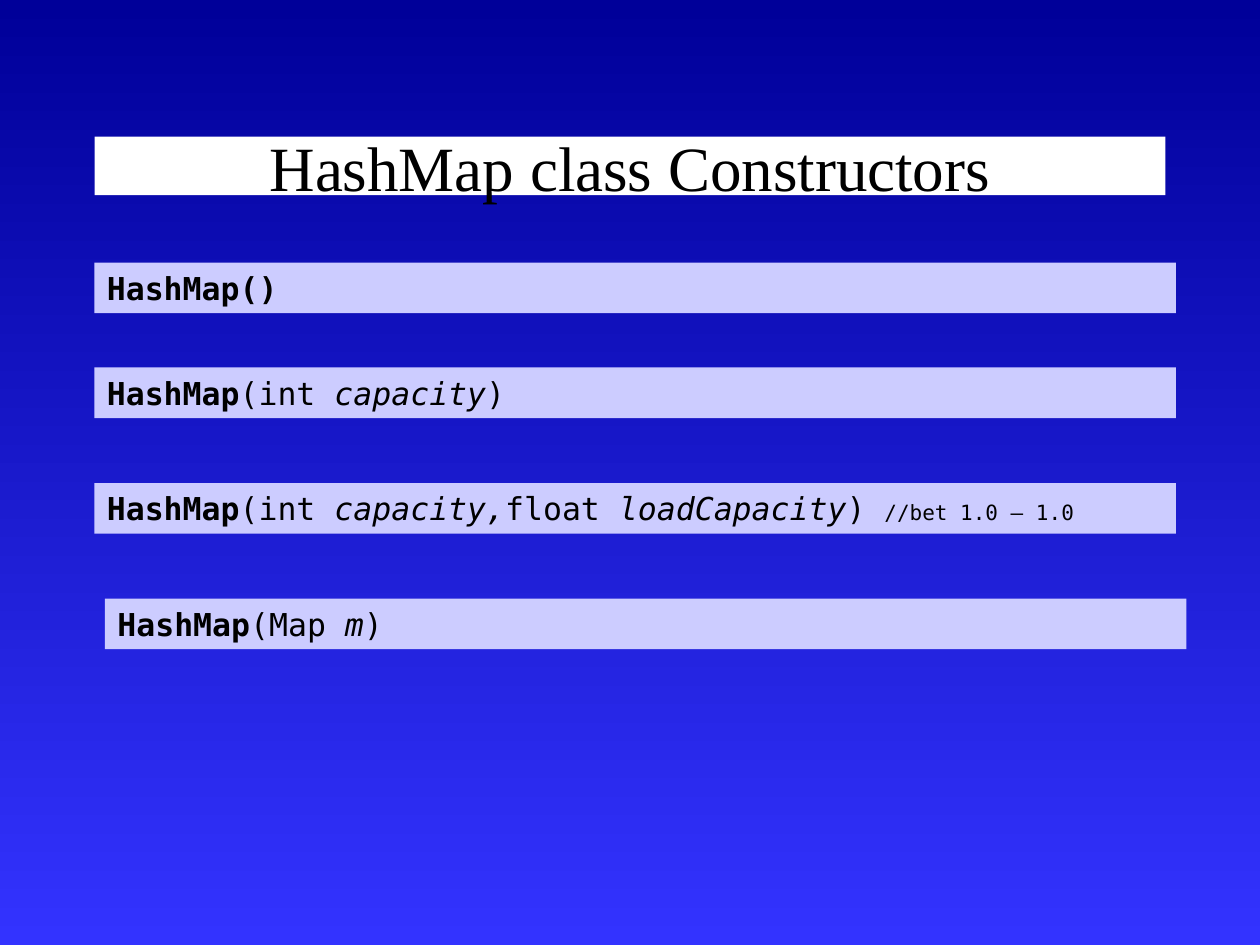
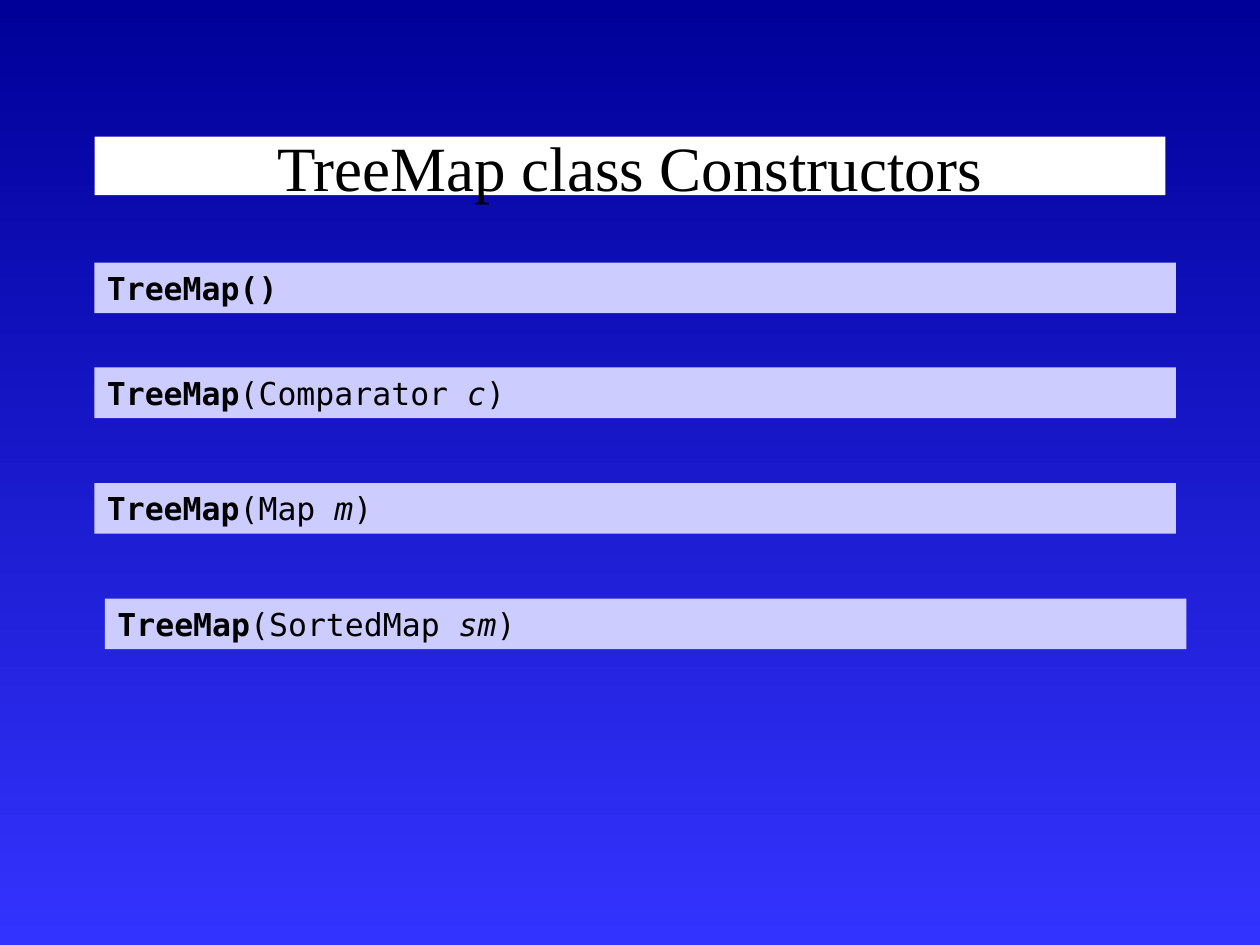
from dataclasses import dataclass

from pptx import Presentation
from pptx.dml.color import RGBColor
from pptx.enum.text import MSO_ANCHOR, MSO_AUTO_SIZE, PP_ALIGN
from pptx.util import Pt

MIDDLE = MSO_ANCHOR.MIDDLE
TOP = MSO_ANCHOR.TOP
FIXED = MSO_AUTO_SIZE.NONE
GROW = MSO_AUTO_SIZE.SHAPE_TO_FIT_TEXT
CENTER = PP_ALIGN.CENTER
LEFT = PP_ALIGN.LEFT
TITLE_ONLY = 5


@dataclass(frozen=True)
class Theme:
    gradient: tuple = (RGBColor(0x00, 0x00, 0x99), RGBColor(0x33, 0x33, 0xFF))
    title_fill: RGBColor = RGBColor(0xFF, 0xFF, 0xFF)
    code_fill: RGBColor = RGBColor(0xCC, 0xCC, 0xFF)
    ink: RGBColor = RGBColor(0, 0, 0)
    title_font: str = "Times New Roman"
    code_font: str = "DejaVu Sans Mono"
    title_size: int = 36
    code_size: int = 18
    note_size: int = 12


THEME = Theme()
SLIDE_SIZE = (720, 540)
TITLE_BOX = (54, 78, 612, 33.5)
CODE_BOXES = [
    (left, top, 618, 29)
    for left, top in ((54, 150), (54, 210), (54, 276), (60, 342))
]
TITLE_FORMAT = {"name": THEME.title_font, "size": Pt(THEME.title_size)}
CODE_FORMAT = {"name": THEME.code_font, "size": Pt(THEME.code_size)}
NAME = CODE_FORMAT | {"bold": True}
PLAIN = CODE_FORMAT
ARGUMENT = CODE_FORMAT | {"italic": True}
NOTE = CODE_FORMAT | {"size": Pt(THEME.note_size)}

CLASSES = {
    "HashMap": [
        [("()", NAME)],
        [("(int ", PLAIN), ("capacity", ARGUMENT), (")", PLAIN)],
        [
            ("(int ", PLAIN),
            ("capacity,", ARGUMENT),
            ("float ", PLAIN),
            ("loadCapacity", ARGUMENT),
            (") ", PLAIN),
            ("//bet 1.0 – 1.0", NOTE),
        ],
        [("(Map ", PLAIN), ("m", ARGUMENT), (")", PLAIN)],
    ],
    "TreeMap": [
        [("()", NAME)],
        [("(Comparator ", PLAIN), ("c", ARGUMENT), (")", PLAIN)],
        [("(Map ", PLAIN), ("m", ARGUMENT), (")", PLAIN)],
        [("(SortedMap ", PLAIN), ("sm", ARGUMENT), (")", PLAIN)],
    ],
}


def set_attributes(target, values):
    for attribute, value in values.items():
        setattr(target, attribute, value)


def fill_band(shape, color, runs, alignment, frame_format):
    shape.fill.solid()
    shape.fill.fore_color.rgb = color
    set_attributes(shape.text_frame, {"word_wrap": True} | frame_format)
    paragraph = shape.text_frame.paragraphs[0]
    paragraph.alignment = alignment
    for text, run_format in runs:
        run = paragraph.add_run()
        run.text = text
        set_attributes(run.font, run_format)
        run.font.color.rgb = THEME.ink


def place_title(slide, box, text):
    shape = slide.shapes.title
    set_attributes(shape, dict(zip(("left", "top", "width", "height"), map(Pt, box))))
    fill_band(
        shape,
        THEME.title_fill,
        [(text, TITLE_FORMAT)],
        CENTER,
        {"vertical_anchor": MIDDLE, "auto_size": FIXED},
    )


def place_constructor(slide, box, class_name, signature):
    shape = slide.shapes.add_textbox(*map(Pt, box))
    fill_band(
        shape,
        THEME.code_fill,
        [(class_name, NAME), *signature],
        LEFT,
        {"vertical_anchor": TOP, "auto_size": GROW},
    )


def set_background(master):
    fill = master.background.fill
    fill.gradient()
    fill.gradient_angle = 270
    for position, (stop, color) in enumerate(zip(fill.gradient_stops, THEME.gradient)):
        stop.position = position
        stop.color.rgb = color


def add_class_slide(presentation, class_name, signatures):
    slide = presentation.slides.add_slide(presentation.slide_layouts[TITLE_ONLY])
    place_title(slide, TITLE_BOX, f"{class_name} class Constructors")
    for box, signature in zip(CODE_BOXES, signatures):
        place_constructor(slide, box, class_name, signature)


def main():
    presentation = Presentation()
    presentation.slide_width, presentation.slide_height = map(Pt, SLIDE_SIZE)
    set_background(presentation.slide_master)
    for class_name, signatures in CLASSES.items():
        add_class_slide(presentation, class_name, signatures)
    presentation.save("out.pptx")


if __name__ == "__main__":
    main()
